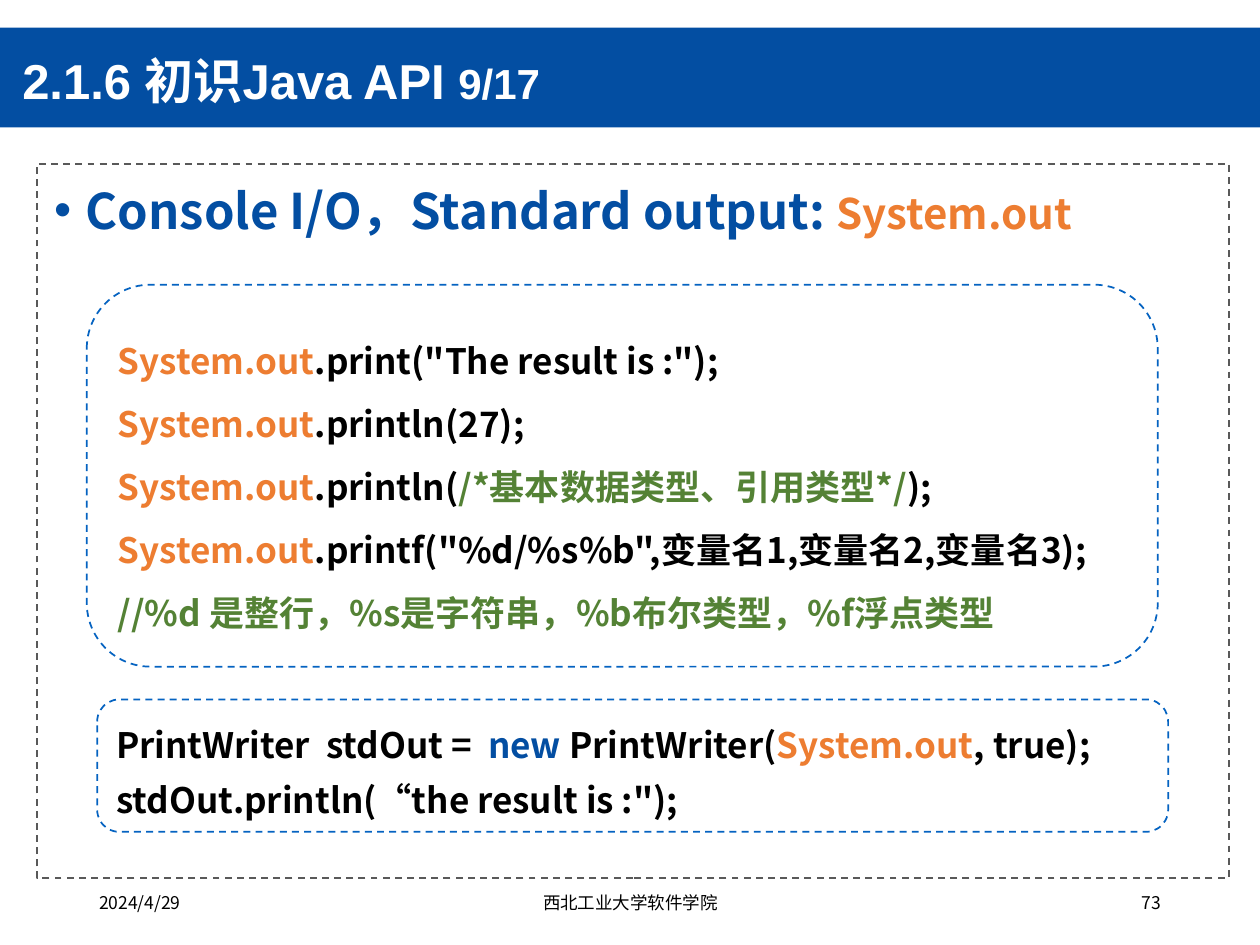
from dataclasses import dataclass

from lxml import etree
from pptx import Presentation
from pptx.dml.color import RGBColor
from pptx.enum.dml import MSO_LINE
from pptx.enum.shapes import MSO_SHAPE
from pptx.enum.text import MSO_ANCHOR, PP_ALIGN
from pptx.oxml.ns import qn
from pptx.util import Cm, Pt

RECTANGLE, ROUNDED = MSO_SHAPE.RECTANGLE, MSO_SHAPE.ROUNDED_RECTANGLE
TOP, MIDDLE = MSO_ANCHOR.TOP, MSO_ANCHOR.MIDDLE
LEFT, CENTER, RIGHT = PP_ALIGN.LEFT, PP_ALIGN.CENTER, PP_ALIGN.RIGHT
DASH = MSO_LINE.DASH

BLUE, ORANGE, GREEN = "034EA2", "ED7D31", "548235"
BLACK, WHITE, GRAY, BORDER_BLUE = "000000", "FFFFFF", "595959", "0563C1"
NOTO, ARIAL = "Noto Sans CJK SC", "Arial"


@dataclass(frozen=True)
class Box:
    left: float
    top: float
    width: float
    height: float

    def lengths(self) -> list:
        return [Cm(value) for value in (self.left, self.top, self.width, self.height)]


@dataclass(frozen=True)
class Run:
    text: str
    color: str = BLACK
    size: int = 20
    font: str = NOTO
    bold: bool = True


@dataclass(frozen=True)
class Style:
    spacing: float = 1.0
    hanging: float = 0
    bullet: str = ""
    align: PP_ALIGN = LEFT
    anchor: MSO_ANCHOR = TOP
    wrap: bool = True


@dataclass(frozen=True)
class CodePanel:
    box: Box
    spacing: float
    lines: list


def rgb(color: str) -> RGBColor:
    return RGBColor.from_string(color)


def add_panel(slide, kind, box: Box, fill: str = "", line: str = ""):
    shape = slide.shapes.add_shape(kind, *box.lengths())
    shape.shadow.inherit = False
    if fill:
        shape.fill.solid()
        shape.fill.fore_color.rgb = rgb(fill)
    else:
        shape.fill.background()
    if line:
        shape.line.color.rgb = rgb(line)
        shape.line.width = Pt(1)
        shape.line.dash_style = DASH
    else:
        shape.line.fill.background()
    return shape


def set_indent(paragraph, style: Style) -> None:
    """Apply a hanging indent and an optional blue bullet."""
    properties = paragraph._p.get_or_add_pPr()
    properties.set("marL", str(Cm(style.hanging)))
    properties.set("indent", str(-Cm(style.hanging)))
    if style.bullet:
        color = etree.SubElement(properties, qn("a:buClr"))
        etree.SubElement(color, qn("a:srgbClr")).set("val", BLUE)
        etree.SubElement(properties, qn("a:buFont")).set("typeface", ARIAL)
        etree.SubElement(properties, qn("a:buChar")).set("char", style.bullet)


def write_text(shape, lines: list, style: Style) -> None:
    frame = shape.text_frame
    frame.word_wrap = style.wrap
    frame.vertical_anchor = style.anchor
    for index, runs in enumerate(lines):
        paragraph = frame.add_paragraph() if index else frame.paragraphs[0]
        paragraph.alignment = style.align
        paragraph.line_spacing = style.spacing
        set_indent(paragraph, style)
        for item in runs:
            run = paragraph.add_run()
            run.text = item.text
            formats = {"size": Pt(item.size), "bold": item.bold, "name": item.font}
            for name, value in formats.items():
                setattr(run.font, name, value)
            run.font.color.rgb = rgb(item.color)
            east_asian = etree.Element(qn("a:ea"))
            east_asian.set("typeface", NOTO)
            run.font._element.find(qn("a:latin")).addnext(east_asian)


def add_text(slide, box: Box, runs: list, style: Style) -> None:
    write_text(slide.shapes.add_textbox(*box.lengths()), [runs], style)


SYSTEM_OUT = Run("System.out", ORANGE)
CODE_PANELS = [
    CodePanel(Box(1.75, 5.74, 21.59, 7.7), 1.5, [
        [SYSTEM_OUT, Run('.print("The result is :");')],
        [SYSTEM_OUT, Run(".println(27);")],
        [SYSTEM_OUT, Run(".println("), Run("/*基本数据类型、引用类型*/", GREEN), Run(");")],
        [SYSTEM_OUT, Run('.printf("%d/%s%b",变量名1,变量名2,变量名3);')],
        [Run("//%d 是整行，%s是字符串，%b布尔类型，%f浮点类型", GREEN)],
    ]),
    CodePanel(Box(1.96, 14.1, 21.59, 2.67), 1.3, [
        [Run("PrintWriter  stdOut =  "), Run("new ", BLUE), Run("PrintWriter("),
         SYSTEM_OUT, Run(", true);")],
        [Run('stdOut.println(“the result is :");')],
    ]),
]
FOOTERS = [
    (1.75, 5.72, "2024/4/29", LEFT),
    (8.41, 8.59, "西北工业大学软件学院", CENTER),
    (17.93, 5.72, "73", RIGHT),
]


def main() -> None:
    presentation = Presentation()
    presentation.slide_width, presentation.slide_height = Cm(25.4), Cm(19.05)
    slide = presentation.slides.add_slide(presentation.slide_layouts[6])

    add_panel(slide, RECTANGLE, Box(0, 0.56, 25.4, 2.01), fill=BLUE)
    add_panel(slide, RECTANGLE, Box(0.74, 3.3, 24.03, 14.4), line=GRAY)
    add_text(slide, Box(0.84, 3.4, 23.83, 14.12),
             [Run("Console I/O，Standard output: ", BLUE, 28), Run("System.out", ORANGE, 24)],
             Style(spacing=1.1, hanging=0.64, bullet="•"))
    add_text(slide, Box(0.2, 0.84, 18.67, 1.68),
             [Run("2.1.6 初识Java API ", WHITE, 28, ARIAL), Run("9/17", WHITE, 24, ARIAL)],
             Style(spacing=0.9, anchor=MIDDLE))

    for panel in CODE_PANELS:
        shape = add_panel(slide, ROUNDED, panel.box, line=BORDER_BLUE)
        write_text(shape, panel.lines,
                   Style(spacing=panel.spacing, hanging=1.27, anchor=MIDDLE, wrap=False))

    for left, width, text, align in FOOTERS:
        add_text(slide, Box(left, 17.86, width, 1.02),
                 [Run(text, size=10, bold=False)], Style(align=align))

    presentation.save("out.pptx")


if __name__ == "__main__":
    main()
